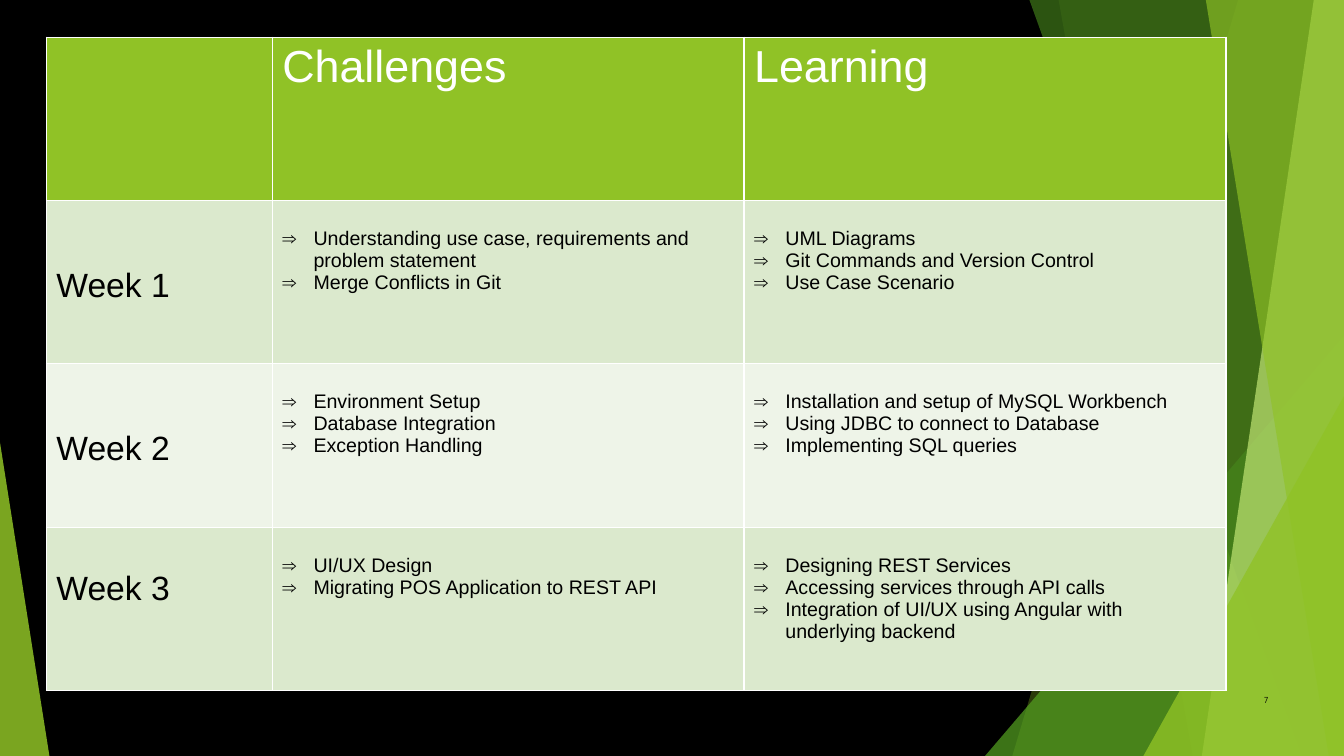
from dataclasses import dataclass

from lxml import etree
from pptx import Presentation
from pptx.dml.color import RGBColor
from pptx.enum.shapes import MSO_SHAPE
from pptx.enum.text import MSO_ANCHOR, PP_ALIGN
from pptx.oxml.ns import qn
from pptx.shapes.autoshape import Shape
from pptx.slide import Slide
from pptx.table import _Cell
from pptx.text.text import TextFrame, _Paragraph
from pptx.util import Inches, Pt

TRIANGLE = MSO_SHAPE.ISOSCELES_TRIANGLE
MIDDLE = MSO_ANCHOR.MIDDLE
RIGHT = PP_ALIGN.RIGHT

WIDTH, HEIGHT = 13.33, 7.5
COLORS = {
    "black": "000000",
    "white": "FFFFFF",
    "lime": "90C226",
    "green": "54A021",
    "forest": "3F7819",
    "pale lime": "C0E474",
    "band dark": "DBE9CD",
    "band light": "EEF4E8",
}


@dataclass
class Shard:
    top_x: float
    bottom_x: float
    color: str
    opacity: int


@dataclass
class Corner:
    left: float
    top: float
    width: float
    apex: float
    color: str
    opacity: int


@dataclass
class Week:
    title: str
    title_offset: float
    challenges: list[str]
    learning: list[str]


FACETS = [
    Shard(12.28, 10.04, "lime", 30),
    Shard(10.5, 11.83, "lime", 20),
    Corner(9.77, 3.33, 3.56, 1, "green", 72),
    Shard(10.21, 12.91, "forest", 70),
    Shard(13.03, 11.92, "pale lime", 70),
    Shard(11.96, 13.18, "lime", 65),
    Corner(11.34, 3.93, 1.99, 1, "lime", 80),
    Corner(0, 4.39, 0.49, 0, "lime", 85),
]

HEADINGS = ["", "Challenges", "Learning"]
WEEKS = [
    Week(
        "Week 1",
        0.66,
        ["Understanding use case, requirements and problem statement", "Merge Conflicts in Git"],
        ["UML Diagrams", "Git Commands and Version Control", "Use Case Scenario"],
    ),
    Week(
        "Week 2",
        0.66,
        ["Environment Setup", "Database Integration", "Exception Handling"],
        [
            "Installation and setup of MySQL Workbench",
            "Using JDBC to connect to Database",
            "Implementing SQL queries",
        ],
    ),
    Week(
        "Week 3",
        0.43,
        ["UI/UX Design", "Migrating POS Application to REST API"],
        [
            "Designing REST Services",
            "Accessing services through API calls",
            "Integration of UI/UX using Angular with underlying backend",
        ],
    ),
]
COLUMN_WIDTHS = [2.24, 4.68, 4.78]
ROW_HEIGHT = 1.62
BULLET_OFFSET = 0.27


def rgb(name: str) -> RGBColor:
    return RGBColor.from_string(COLORS[name])


def paint(shape: Shape, color: str, opacity: int) -> None:
    shape.shadow.inherit = False
    shape.line.fill.background()
    shape.fill.solid()
    shape.fill.fore_color.rgb = rgb(color)
    color_element = shape.fill._xPr.find(f".//{qn('a:srgbClr')}")
    etree.SubElement(color_element, qn("a:alpha"), val=str(opacity * 1000))


def draw_shard(slide: Slide, shard: Shard) -> None:
    builder = slide.shapes.build_freeform(Inches(shard.top_x), 0)
    corners = [(WIDTH, 0), (WIDTH, HEIGHT), (shard.bottom_x, HEIGHT)]
    builder.add_line_segments([(Inches(x), Inches(y)) for x, y in corners])
    paint(builder.convert_to_shape(), shard.color, shard.opacity)


def draw_corner(slide: Slide, corner: Corner) -> None:
    shape = slide.shapes.add_shape(
        TRIANGLE,
        Inches(corner.left),
        Inches(corner.top),
        Inches(corner.width),
        Inches(HEIGHT - corner.top),
    )
    shape.adjustments[0] = corner.apex
    paint(shape, corner.color, corner.opacity)


def add_text(paragraph: _Paragraph, text: str, size: int, color: str, font: str = "Arial") -> None:
    run = paragraph.add_run()
    run.text = text
    run.font.name = font
    run.font.size = Pt(size)
    run.font.bold = False
    run.font.color.rgb = rgb(color)


def add_bullet(paragraph: _Paragraph) -> None:
    properties = paragraph._p.get_or_add_pPr()
    properties.set("marL", str(Inches(0.31)))
    properties.set("indent", str(-Inches(0.31)))
    bullet_color = etree.SubElement(properties, qn("a:buClr"))
    etree.SubElement(bullet_color, qn("a:srgbClr"), val=COLORS["black"])
    etree.SubElement(properties, qn("a:buFont"), typeface="Arial")
    etree.SubElement(properties, qn("a:buChar"), char="⇒")


def fill_list(frame: TextFrame, items: list[str]) -> None:
    for index, item in enumerate(items):
        paragraph = frame.add_paragraph() if index else frame.paragraphs[0]
        add_bullet(paragraph)
        add_text(paragraph, item, 14, "black")


def style_cell(cell: _Cell, color: str) -> None:
    properties = cell._tc.get_or_add_tcPr()
    for side in ("lnL", "lnR", "lnT", "lnB"):
        border = etree.SubElement(properties, qn(f"a:{side}"), w=str(Pt(1)))
        border_fill = etree.SubElement(border, qn("a:solidFill"))
        etree.SubElement(border_fill, qn("a:srgbClr"), val=COLORS["white"])
    cell.fill.solid()
    cell.fill.fore_color.rgb = rgb(color)


def draw_table(slide: Slide) -> None:
    row_count = len(WEEKS) + 1
    table = slide.shapes.add_table(
        row_count,
        len(COLUMN_WIDTHS),
        Inches(0.46),
        Inches(0.37),
        Inches(sum(COLUMN_WIDTHS)),
        Inches(ROW_HEIGHT * row_count),
    ).table
    table.first_row = False
    table.horz_banding = False
    for column, width in zip(table.columns, COLUMN_WIDTHS):
        column.width = Inches(width)
    for index, row in enumerate(table.rows):
        row.height = Inches(ROW_HEIGHT)
        band = "band dark" if index % 2 else "band light"
        for cell in row.cells:
            style_cell(cell, band if index else "lime")

    for column, heading in enumerate(HEADINGS):
        if heading:
            add_text(table.cell(0, column).text_frame.paragraphs[0], heading, 32, "white")
    for row, week in enumerate(WEEKS, start=1):
        title_cell = table.cell(row, 0)
        title_cell.margin_top = Inches(week.title_offset)
        add_text(title_cell.text_frame.paragraphs[0], week.title, 24, "black")
        for column, items in enumerate((week.challenges, week.learning), start=1):
            cell = table.cell(row, column)
            cell.margin_top = Inches(BULLET_OFFSET)
            fill_list(cell.text_frame, items)


def draw_page_number(slide: Slide) -> None:
    box = slide.shapes.add_textbox(Inches(12.28), Inches(6.9), Inches(0.3), Inches(0.1))
    frame = box.text_frame
    frame.word_wrap = True
    frame.vertical_anchor = MIDDLE
    frame.margin_left = frame.margin_right = frame.margin_top = frame.margin_bottom = 0
    frame.paragraphs[0].alignment = RIGHT
    add_text(frame.paragraphs[0], "7", 6, "black", "Manrope")


def main() -> None:
    presentation = Presentation()
    presentation.slide_width = Inches(WIDTH)
    presentation.slide_height = Inches(HEIGHT)
    slide = presentation.slides.add_slide(presentation.slide_layouts[6])
    slide.background.fill.solid()
    slide.background.fill.fore_color.rgb = rgb("black")
    for facet in FACETS:
        if isinstance(facet, Shard):
            draw_shard(slide, facet)
        else:
            draw_corner(slide, facet)
    draw_page_number(slide)
    draw_table(slide)
    presentation.save("out.pptx")


if __name__ == "__main__":
    main()
